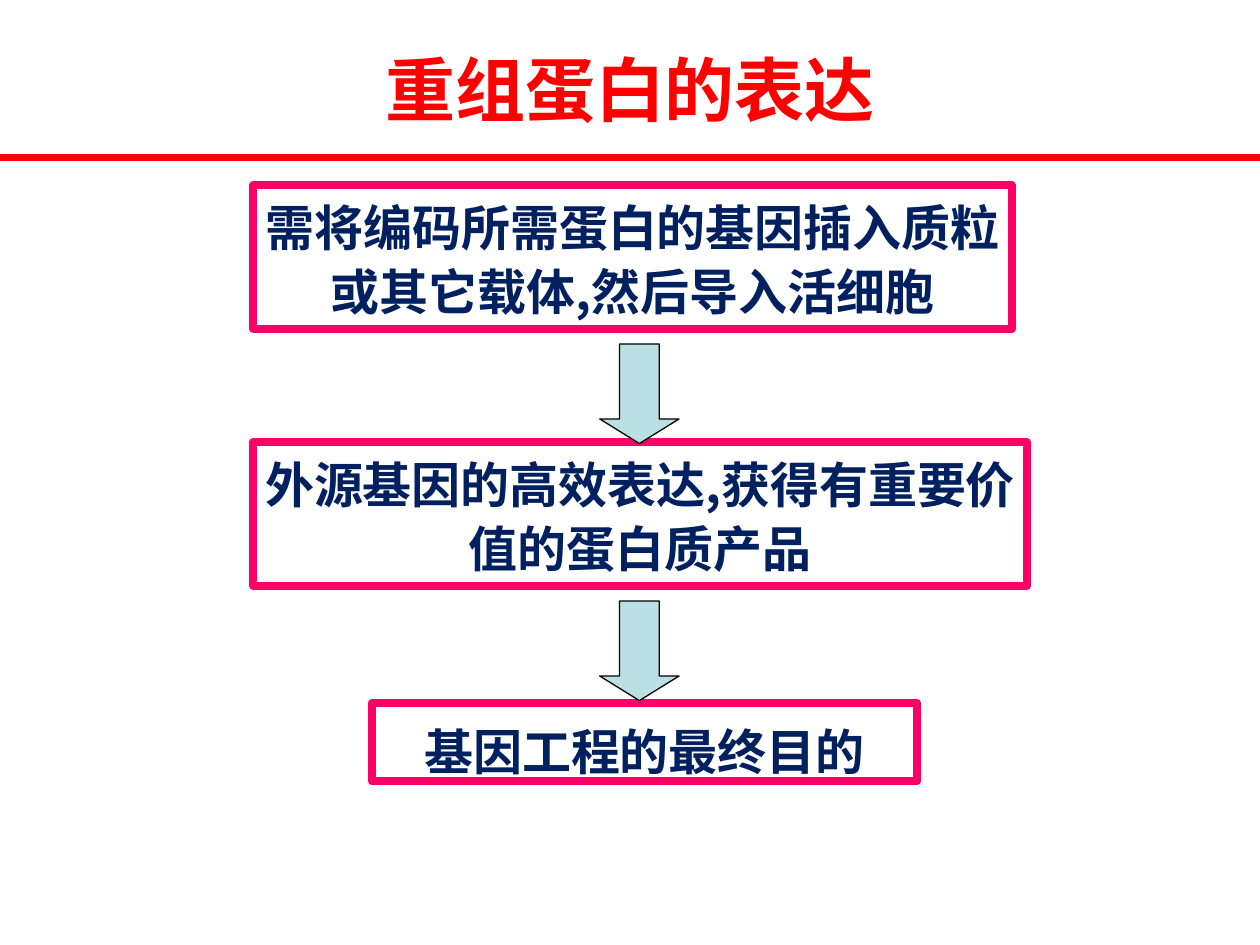
from dataclasses import dataclass

from lxml.etree import SubElement
from pptx import Presentation
from pptx.dml.color import RGBColor
from pptx.enum.shapes import MSO_CONNECTOR, MSO_SHAPE
from pptx.enum.text import MSO_ANCHOR, MSO_AUTO_SIZE, PP_ALIGN
from pptx.oxml.ns import qn
from pptx.shapes.autoshape import Shape
from pptx.slide import Slide
from pptx.text.text import TextFrame
from pptx.util import Inches, Pt

RED = RGBColor(0xFF, 0x00, 0x00)
PINK = RGBColor(0xFF, 0x00, 0x66)
NAVY = RGBColor(0x00, 0x20, 0x60)
TEAL = RGBColor(0xBB, 0xE0, 0xE3)
BLACK = RGBColor(0x00, 0x00, 0x00)
FONT = "Noto Sans CJK SC"
WIDE, HIGH = Inches(10), Inches(7.5)


@dataclass(frozen=True)
class Area:
    left: float
    top: float
    width: float
    height: float

    def place(self) -> tuple[int, int, int, int]:
        return (int(WIDE * self.left), int(HIGH * self.top),
                int(WIDE * self.width), int(HIGH * self.height))


@dataclass(frozen=True)
class Step:
    text: str
    area: Area
    pitch: float


STEPS = [
    Step("需将编码所需蛋白的基因插入质粒或其它载体,然后导入活细胞",
         Area(0.201, 1.47 / 7.5, 0.602, 1.14 / 7.5), 1.1),
    Step("外源基因的高效表达,获得有重要价值的蛋白质产品",
         Area(0.201, 3.51 / 7.5, 0.614, 1.14 / 7.5), 1.1),
    Step("基因工程的最终目的",
         Area(0.295, 5.58 / 7.5, 0.433, 0.62 / 7.5), 1.2),
]
ARROW = Area(0.476, 2.73 / 7.5, 0.063, 0.79 / 7.5)
STRIDE = 2.04 / 7.5


def write(frame: TextFrame, text: str, size: int, color: RGBColor,
          pitch: float = 1.0) -> None:
    frame.word_wrap = True
    para = frame.paragraphs[0]
    para.alignment = PP_ALIGN.CENTER
    para.line_spacing = pitch
    run = para.add_run()
    run.text = text
    font = run.font
    font.name, font.size, font.bold = FONT, Pt(size), True
    font.color.rgb = color
    SubElement(font._element, qn("a:ea")).set("typeface", FONT)


def draw(slide: Slide, kind: MSO_SHAPE, area: Area,
         edge: RGBColor, weight: float) -> Shape:
    shape = slide.shapes.add_shape(kind, *area.place())
    shape.shadow.inherit = False
    shape.line.color.rgb = edge
    shape.line.width = Pt(weight)
    return shape


def add_step(slide: Slide, step: Step) -> None:
    box = draw(slide, MSO_SHAPE.RECTANGLE, step.area, PINK, 4.5)
    box.fill.background()
    frame = box.text_frame
    frame.margin_left = frame.margin_right = Inches(0.08)
    frame.vertical_anchor = MSO_ANCHOR.TOP
    write(frame, step.text, 28, NAVY, step.pitch)
    frame.auto_size = MSO_AUTO_SIZE.SHAPE_TO_FIT_TEXT


def add_arrow(slide: Slide, area: Area) -> None:
    arrow = draw(slide, MSO_SHAPE.DOWN_ARROW, area, BLACK, 0.75)
    arrow.fill.solid()
    arrow.fill.fore_color.rgb = TEAL
    arrow.adjustments[0] = 0.5
    arrow.adjustments[1] = 0.31


def add_rule(slide: Slide, share: float) -> None:
    y = int(HIGH * share)
    rule = slide.shapes.add_connector(MSO_CONNECTOR.STRAIGHT, 0, y, WIDE, y)
    rule.line.color.rgb = RED
    rule.line.width = Pt(4.5)
    SubElement(rule._element.spPr, qn("a:effectLst"))


def add_title(slide: Slide, text: str, area: Area) -> None:
    title = slide.shapes.title
    title.left, title.top, title.width, title.height = area.place()
    title.text_frame.vertical_anchor = MSO_ANCHOR.MIDDLE
    write(title.text_frame, text, 40, RED)


def main() -> None:
    deck = Presentation()
    deck.slide_width, deck.slide_height = WIDE, HIGH
    slide = deck.slides.add_slide(deck.slide_layouts[5])
    add_rule(slide, 1 / 6)
    for step in STEPS:
        add_step(slide, step)
    for row in range(len(STEPS) - 1):
        add_arrow(slide, Area(ARROW.left, ARROW.top + row * STRIDE,
                              ARROW.width, ARROW.height))
    add_title(slide, "重组蛋白的表达", Area(0.05, 0.08 / 7.5, 0.9, 1 / 6))
    deck.save("out.pptx")


if __name__ == "__main__":
    main()
